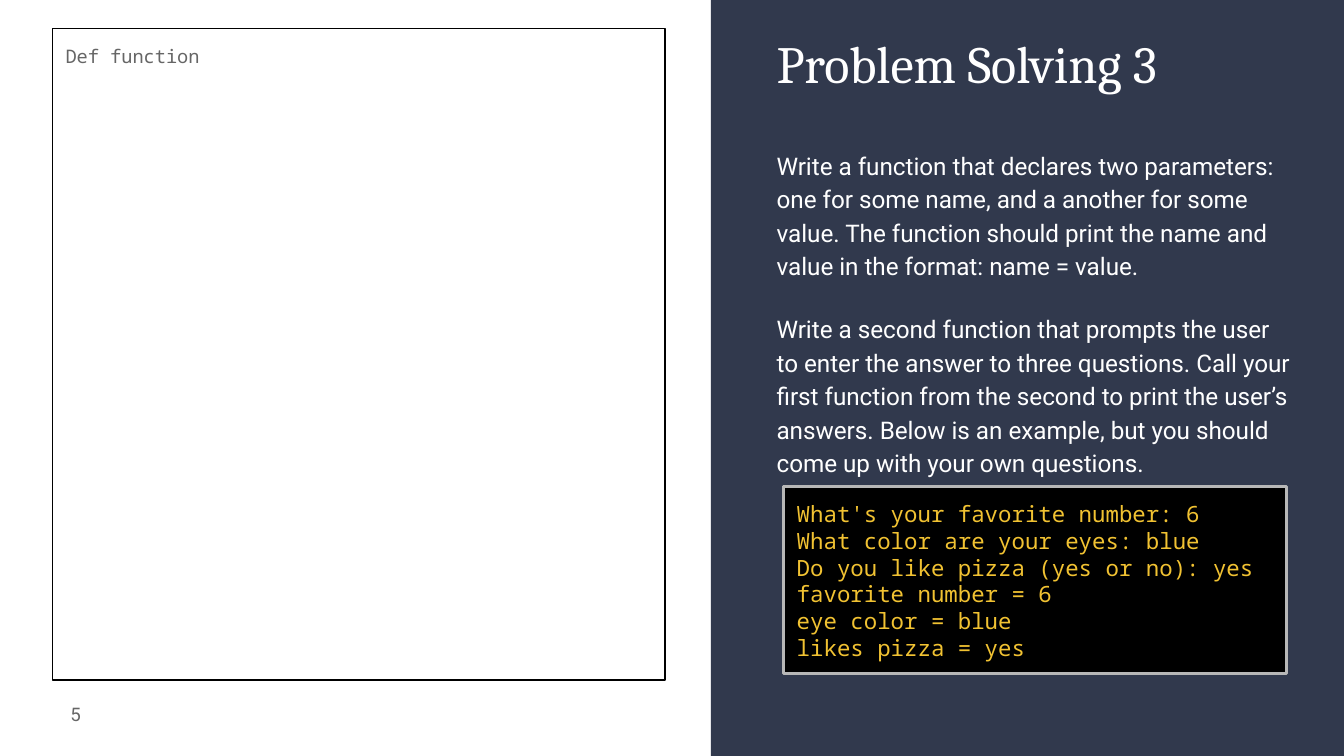
from pptx import Presentation
from pptx.util import Inches, Pt
from pptx.dml.color import RGBColor
from pptx.enum.shapes import MSO_SHAPE as Shape
from pptx.enum.text import MSO_ANCHOR as Anchor, PP_ALIGN as Align

# Content
TITLE = ["Problem Solving 3"]
CODE = ["Def function"]
TASKS = [
    "Write a function that declares two parameters: one for some name, and a "
    "another for some value. The function should print the name and value in "
    "the format: name = value.",
    "Write a second function that prompts the user to enter the answer to three "
    "questions. Call your first function from the second to print the user’s "
    "answers. Below is an example, but you should come up with your own questions.",
]
OUTPUT = [
    "What's your favorite number: 6",
    "What color are your eyes: blue",
    "Do you like pizza (yes or no): yes",
    "favorite number = 6",
    "eye color = blue",
    "likes pizza = yes",
]
PAGE = ["5"]

# Style
NAVY = RGBColor(0x31, 0x39, 0x4D)
WHITE = RGBColor(0xFF, 0xFF, 0xFF)
BLACK = RGBColor(0, 0, 0)
GREY = RGBColor(0x66, 0x66, 0x66)
SILVER = RGBColor(0xB7, 0xB7, 0xB7)
GOLD = RGBColor(0xF1, 0xC2, 0x32)
SERIF, SANS, MONO = "Cambria", "Roboto", "Noto Sans Mono"

# Layout in inches, on a 16:9 slide
WIDE = 10
HIGH = WIDE * 9 / 16
SPLIT = 5.29
TEXT_X, TEXT_W = 5.68, 4.05

deck = Presentation()
deck.slide_width, deck.slide_height = Inches(WIDE), Inches(HIGH)
slide = deck.slides.add_slide(deck.slide_layouts[6])


def add_rect(box, fill=None, line=None, weight=0.75):
    rect = slide.shapes.add_shape(Shape.RECTANGLE, *map(Inches, box))
    rect.shadow.inherit = False
    if fill is None:
        rect.fill.background()
    else:
        rect.fill.solid()
        rect.fill.fore_color.rgb = fill
    if line is None:
        rect.line.fill.background()
    else:
        rect.line.color.rgb = line
        rect.line.width = Pt(weight)
    return rect


def add_box(box):
    return slide.shapes.add_textbox(*map(Inches, box))


def write(shape, lines, font, size, color, align=Align.LEFT,
          anchor=Anchor.TOP, leading=1.0, gap=0):
    frame = shape.text_frame
    frame.word_wrap = True
    frame.vertical_anchor = anchor
    frame.margin_left = frame.margin_right = Inches(0.1)
    frame.margin_top = frame.margin_bottom = Inches(0.1)
    frame.text = "\n".join(lines)
    for i, para in enumerate(frame.paragraphs):
        para.alignment = align
        para.line_spacing = leading
        para.space_before = Pt(gap if i else 0)
        para.space_after = Pt(0)
        for run in para.runs:
            run.font.name = font
            run.font.size = Pt(size)
            run.font.color.rgb = color


# Dark right panel
add_rect((SPLIT, 0, WIDE - SPLIT, HIGH), NAVY)

# Page number
write(add_box((0.1, 5.1, 0.6, 0.43)), PAGE, SANS, 10, GREY,
      align=Align.RIGHT, anchor=Anchor.MIDDLE)

# Title and tasks
write(add_box((TEXT_X, 0.13, TEXT_W, 0.7)), TITLE, SERIF, 28, WHITE)
write(add_box((TEXT_X, 0.99, TEXT_W, 2.63)), TASKS, SANS, 13, WHITE,
      leading=1.15, gap=16)

# Answer area
write(add_rect((0.39, 0.21, 4.56, 4.85), line=BLACK), CODE, MONO, 10, GREY,
      leading=1.15)

# Sample output
write(add_rect((5.83, 3.62, 3.74, 1.39), BLACK, SILVER, 1.5), OUTPUT,
      MONO, 12, GOLD)

deck.save("out.pptx")
